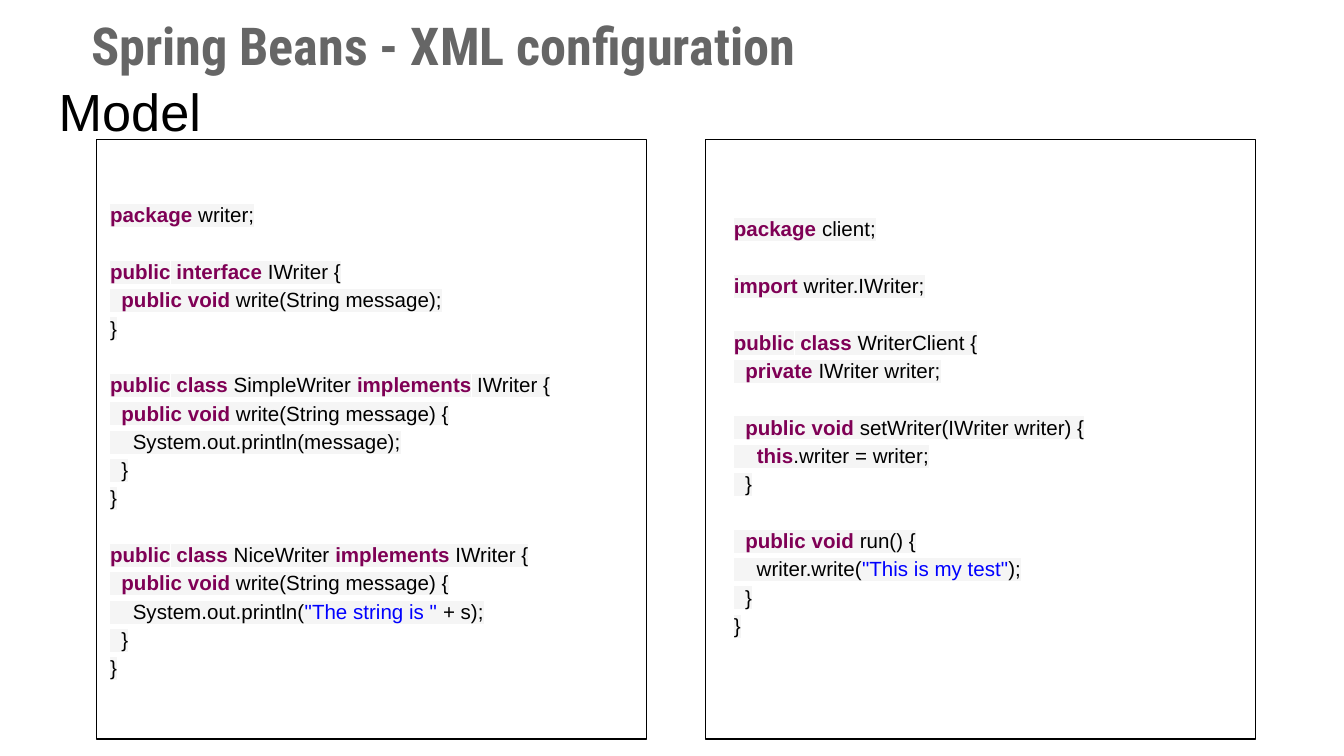
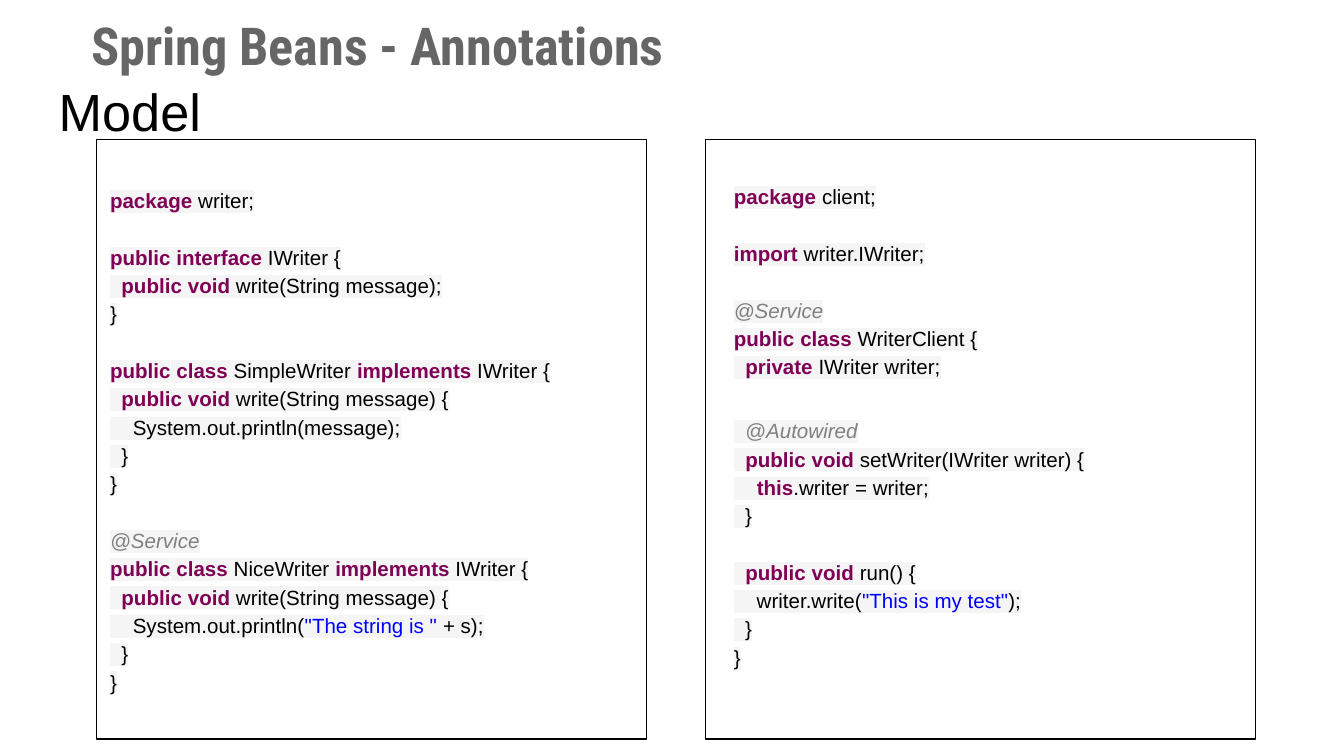
from itertools import groupby
from lxml.etree import SubElement
from pptx import Presentation
from pptx.dml.color import RGBColor
from pptx.enum.shapes import MSO_SHAPE
from pptx.enum.text import MSO_ANCHOR, MSO_AUTO_SIZE, PP_ALIGN
from pptx.oxml.ns import qn
from pptx.util import Cm, Pt

BLACK = RGBColor(0x00, 0x00, 0x00)
GREY = RGBColor(0x66, 0x66, 0x66)
NOTE = RGBColor(0x80, 0x80, 0x80)
PLUM = RGBColor(0x7F, 0x00, 0x55)
BLUE = RGBColor(0x00, 0x00, 0xFF)
PALE = RGBColor(0xF5, 0xF5, 0xF5)

WORDS = {"package", "import", "public", "private", "interface", "class",
         "void", "implements", "this"}

WRITER = """package writer;

public interface IWriter {
  public void write(String message);
}

public class SimpleWriter implements IWriter {
  public void write(String message) {
    System.out.println(message);
  }
}

public class NiceWriter implements IWriter {
  public void write(String message) {
    System.out.println("The string is " + s);
  }
}"""

CLIENT = """package client;

import writer.IWriter;

public class WriterClient {
  private IWriter writer;

  public void setWriter(IWriter writer) {
    this.writer = writer;
  }

  public void run() {
    writer.write("This is my test");
  }
}"""


def tag(code, mark, line):
    """Put an annotation above a line of code."""
    return code.replace(line, f"{mark}\n{line}")


SLIDES = [
    ("Spring Beans - XML configuration", WRITER, CLIENT),
    ("Spring Beans - Annotations",
     tag(WRITER, "@Service", "public class NiceWriter"),
     tag(tag(CLIENT, "@Service", "public class WriterClient"),
         "  @Autowired", "  public void setWriter")),
]

LEFT, TOP, WIDE, HIGH, STEP = 1.83, 2.64, 10.39, 11.33, 11.51
INSET, INDENT, TAIL = 0.25, 0.28, 0.54
GAP, WIDER = Pt(15.2), Pt(19.1)


def frame(shape, anchor):
    """Give a shape's text its insets and anchor."""
    text = shape.text_frame
    text.auto_size = MSO_AUTO_SIZE.NONE
    text.word_wrap = True
    text.vertical_anchor = anchor
    text.margin_left = text.margin_right = Cm(INSET)
    text.margin_top = text.margin_bottom = Cm(INSET)
    return text


def style(run, name, size, color, bold=False, slant=False):
    """Format one run."""
    font = run.font
    font.name, font.size = name, Pt(size)
    font.bold, font.italic = bold, slant
    font.color.rgb = color


def head(shape, words, box, anchor, *look):
    """Place and fill a heading placeholder."""
    shape.left, shape.top, shape.width, shape.height = map(Cm, box)
    text = frame(shape, anchor)
    text.text = words
    para = text.paragraphs[0]
    para.alignment = PP_ALIGN.LEFT
    para.line_spacing = 1.0
    para.space_before = Pt(0)
    style(para.runs[0], *look)


def kind(word):
    """Return the colour, weight and slant of a word."""
    return (PLUM, True, False) if word in WORDS else (BLACK, False, False)


def split(line):
    """Split a line of code into words, gaps and quoted strings with their looks."""
    if line.strip().startswith("@"):
        yield line, (NOTE, False, True)
        return
    for spot, part in enumerate(line.split('"')):
        if spot % 2:
            yield f'"{part}"', (BLUE, False, False)
        else:
            for _, chars in groupby(part, str.isalnum):
                word = "".join(chars)
                yield word, kind(word)


def write(para, line):
    """Write one line of coloured code."""
    para.line_spacing = 1.15
    para.alignment = PP_ALIGN.LEFT
    for look, bits in groupby(split(line), lambda bit: bit[1]):
        run = para.add_run()
        run.text = "".join(word for word, _ in bits)
        style(run, "Arial", 11, *look)
        fill = run.font.fill._xPr.find(qn("a:solidFill"))
        mark = SubElement(fill.getparent(), qn("a:highlight"))
        SubElement(mark, qn("a:srgbClr"), val=str(PALE))
        fill.addnext(mark)


def panel(slide, col, code):
    """Draw a framed code listing in a column."""
    box = slide.shapes.add_shape(MSO_SHAPE.RECTANGLE, Cm(LEFT + col * STEP),
                                 Cm(TOP), Cm(WIDE), Cm(HIGH))
    box.shadow.inherit = False
    box.fill.background()
    box.line.color.rgb = BLACK
    box.line.width = Pt(0.75)
    text = frame(box, MSO_ANCHOR.MIDDLE)
    text.margin_left = Cm(INSET + col * INDENT)
    text.margin_bottom = Cm(INSET + col * TAIL)
    para = text.paragraphs[0]
    for num, block in enumerate(code.split("\n\n")):
        for row, line in enumerate(block.split("\n")):
            if num or row:
                para = text.add_paragraph()
            if num and not row:
                para.space_before = WIDER if "@Autowired" in line else GAP
            write(para, line)


def main():
    """Build the deck."""
    deck = Presentation()
    deck.slide_width, deck.slide_height = Cm(25.4), Cm(14.29)
    for title, *codes in SLIDES:
        slide = deck.slides.add_slide(deck.slide_layouts[0])
        head(slide.shapes.title, title, (1.47, 0.2, 23.16, 1.27),
             MSO_ANCHOR.MIDDLE, "Roboto Condensed", 28, GREY, True)
        head(slide.placeholders[1], "Model", (0.86, 1.24, 23.67, 1.6),
             MSO_ANCHOR.TOP, "Arial", 28, BLACK)
        for col, code in enumerate(codes):
            panel(slide, col, code)
    deck.save("out.pptx")


if __name__ == "__main__":
    main()
